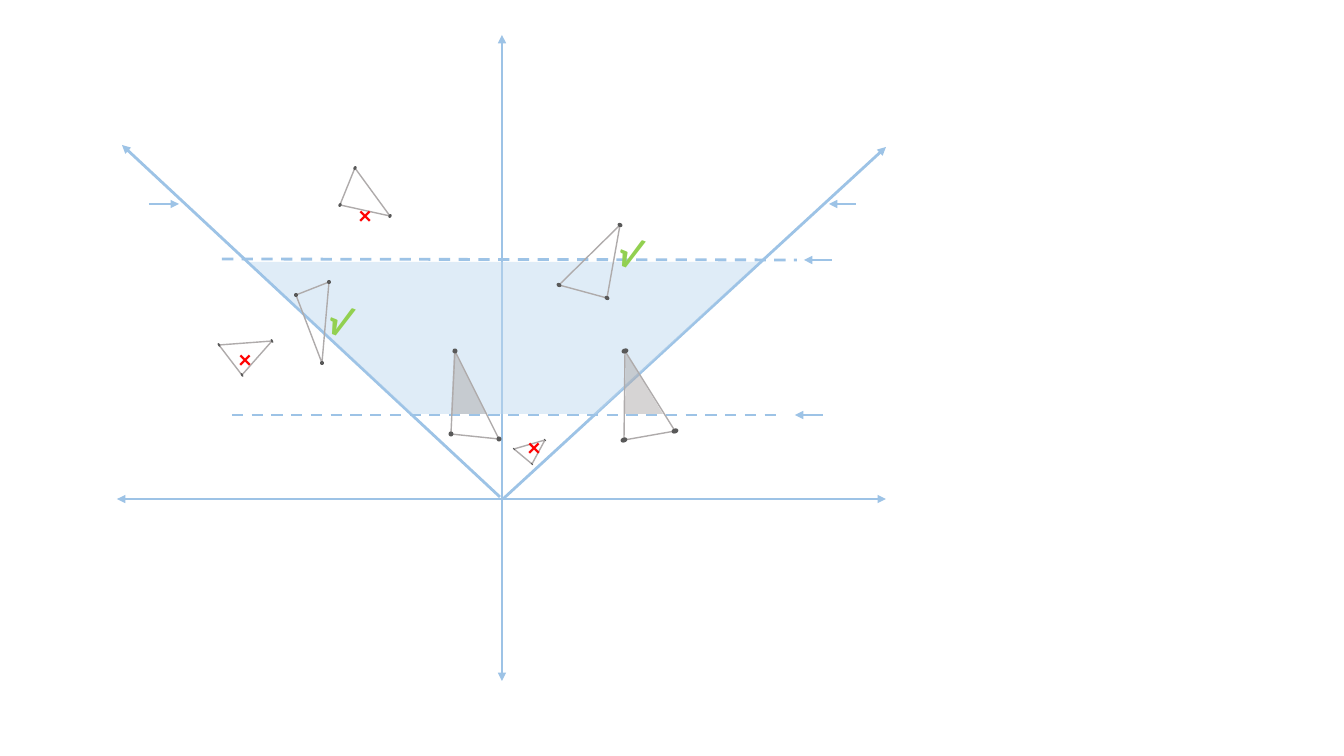
"""Build a slide of triangles tested against a viewing frustum between two clipping planes."""
from dataclasses import dataclass

from lxml.etree import SubElement
from pptx import Presentation
from pptx.dml.color import RGBColor
from pptx.enum.dml import MSO_LINE
from pptx.enum.shapes import MSO_CONNECTOR, MSO_SHAPE
from pptx.enum.text import MSO_AUTO_SIZE
from pptx.oxml.ns import qn
from pptx.shapes.freeform import FreeformBuilder
from pptx.shapes.autoshape import Shape
from pptx.shapes.shapetree import GroupShapes, SlideShapes
from pptx.util import Emu, Pt

EMU_PER_PX = 914400 / 100.8

Point = tuple[int, int]


@dataclass(frozen=True)
class Theme:
    """Colours, font, type sizes and line widths of the slide."""
    axis: RGBColor = RGBColor(0x9D, 0xC3, 0xE6)
    frustum: RGBColor = RGBColor(0xBD, 0xD7, 0xEE)
    edge: RGBColor = RGBColor(0xAF, 0xAB, 0xAB)
    vertex: RGBColor = RGBColor(0x59, 0x59, 0x59)
    rejected: RGBColor = RGBColor(0xFF, 0x00, 0x00)
    accepted: RGBColor = RGBColor(0x92, 0xD0, 0x50)
    font: str = "Calibri"
    cross_size: Pt = Pt(18)
    check_size: Pt = Pt(28)
    axis_width: Pt = Pt(2)
    edge_width: Pt = Pt(1)


THEME = Theme()


@dataclass(frozen=True)
class Ray:
    """A straight line with optional arrowheads and dashes."""
    start: Point
    end: Point
    head: bool = False
    tail: bool = False
    dashed: bool = False


@dataclass(frozen=True)
class Region:
    """A translucent filled polygon."""
    corners: tuple[Point, ...]
    color: RGBColor
    opacity: int


@dataclass(frozen=True)
class Triangle:
    """An outlined triangle with an oval dot at each corner."""
    corners: tuple[Point, Point, Point]
    dot: Point
    angle: float


@dataclass(frozen=True)
class Verdict:
    """A style of mark telling whether a triangle is kept."""
    symbol: str
    color: RGBColor
    size: Pt
    box: Point
    angle: float
    places: tuple[Point, ...]


RAYS = (
    Ray((117, 499), (886, 499), head=True, tail=True),
    Ray((502, 35), (502, 681), head=True, tail=True),
    Ray((886, 147), (503, 499), head=True),
    Ray((122, 145), (500, 497), head=True),
    Ray((232, 415), (778, 415), dashed=True),
    Ray((222, 259), (797, 260), dashed=True),
    Ray((823, 415), (795, 415), tail=True),
    Ray((832, 260), (804, 260), tail=True),
    Ray((856, 204), (829, 204), tail=True),
    Ray((149, 204), (179, 204), tail=True),
)

REGIONS = (
    Region(((759, 262), (596, 414), (412, 414), (250, 262)), THEME.frustum, 47),
    Region(((451, 414), (454, 350), (487, 414)), THEME.edge, 50),
    Region(((625, 414), (626, 353), (663, 414)), THEME.edge, 50),
)

TRIANGLES = (
    Triangle(((219, 345), (272, 341), (242, 375)), (4, 2), 61.2),
    Triangle(((355, 168), (390, 216), (340, 205)), (4, 3), 121.2),
    Triangle(((559, 285), (620, 225), (607, 298)), (5, 4), 25.6),
    Triangle(((514, 449), (545, 440), (532, 464)), (3, 1), 47.8),
    Triangle(((624, 440), (625, 351), (675, 431)), (7, 5), 342.5),
    Triangle(((451, 434), (455, 351), (499, 439)), (5, 5), 19.1),
    Triangle(((329, 282), (322, 363), (296, 295)), (4, 4), 170.8),
)

VERDICTS = (
    Verdict("×", THEME.rejected, THEME.cross_size, (33, 40), 0,
            ((229, 338), (518, 426), (349, 194))),
    Verdict("√", THEME.accepted, THEME.check_size, (34, 57), 21.7,
            ((320, 291), (610, 223))),
)


def px(length: float) -> Emu:
    """Convert a length in px to EMU."""
    return Emu(round(length * EMU_PER_PX))


def draw_ray(shapes: SlideShapes, ray: Ray) -> None:
    """Draw an axis, a plane or a pointer."""
    connector = shapes.add_connector(
        MSO_CONNECTOR.STRAIGHT, *map(px, ray.start + ray.end))
    connector.line.color.rgb = THEME.axis
    connector.line.width = THEME.axis_width
    if ray.dashed:
        connector.line.dash_style = MSO_LINE.DASH
    outline = connector.line._get_or_add_ln()
    for shown, tag in ((ray.head, "a:headEnd"), (ray.tail, "a:tailEnd")):
        if shown:
            SubElement(outline, qn(tag), type="triangle")
    SubElement(connector._element.spPr, qn("a:effectLst"))


def draw_polygon(shapes: SlideShapes | GroupShapes, corners: tuple[Point, ...]) -> Shape:
    """Draw a closed polygon without shadow."""
    first, *rest = [(px(x), px(y)) for x, y in corners]
    builder: FreeformBuilder = shapes.build_freeform(*first)
    builder.add_line_segments(rest, close=True)
    polygon = builder.convert_to_shape()
    polygon.shadow.inherit = False
    return polygon


def draw_region(shapes: SlideShapes, region: Region) -> None:
    """Draw a translucent area."""
    area = draw_polygon(shapes, region.corners)
    area.fill.solid()
    area.fill.fore_color.rgb = region.color
    color = area._element.spPr.find(qn("a:solidFill"))[0]
    SubElement(color, qn("a:alpha"), val=str(region.opacity * 1000))
    area.line.fill.background()


def draw_triangle(shapes: SlideShapes, triangle: Triangle) -> None:
    """Draw a triangle grouped with its corner dots."""
    members = shapes.add_group_shape().shapes
    edges = draw_polygon(members, triangle.corners)
    edges.fill.background()
    edges.line.color.rgb = THEME.edge
    edges.line.width = THEME.edge_width
    width, height = triangle.dot
    for x, y in triangle.corners:
        vertex = members.add_shape(
            MSO_SHAPE.FLOWCHART_CONNECTOR,
            px(x - width / 2), px(y - height / 2), px(width), px(height))
        vertex.rotation = triangle.angle
        vertex.shadow.inherit = False
        vertex.fill.solid()
        vertex.fill.fore_color.rgb = THEME.vertex
        vertex.line.color.rgb = THEME.vertex
        vertex.line.fill.background()


def draw_verdict(shapes: SlideShapes, verdict: Verdict) -> None:
    """Write one kind of mark at each of its places."""
    for place in verdict.places:
        mark = shapes.add_textbox(*map(px, place + verdict.box))
        mark.rotation = verdict.angle
        frame = mark.text_frame
        frame.text = verdict.symbol
        frame.word_wrap = True
        frame.auto_size = MSO_AUTO_SIZE.SHAPE_TO_FIT_TEXT
        font = frame.paragraphs[0].runs[0].font
        font.name, font.size, font.bold = THEME.font, verdict.size, True
        font.color.rgb = verdict.color


def main() -> None:
    """Build and save the slide."""
    deck = Presentation()
    deck.slide_width, deck.slide_height = px(1344), px(756)
    shapes = deck.slides.add_slide(deck.slide_layouts[6]).shapes
    for ray in RAYS:
        draw_ray(shapes, ray)
    for region in REGIONS:
        draw_region(shapes, region)
    for triangle in TRIANGLES:
        draw_triangle(shapes, triangle)
    for verdict in VERDICTS:
        draw_verdict(shapes, verdict)
    deck.save("out.pptx")


if __name__ == "__main__":
    main()
